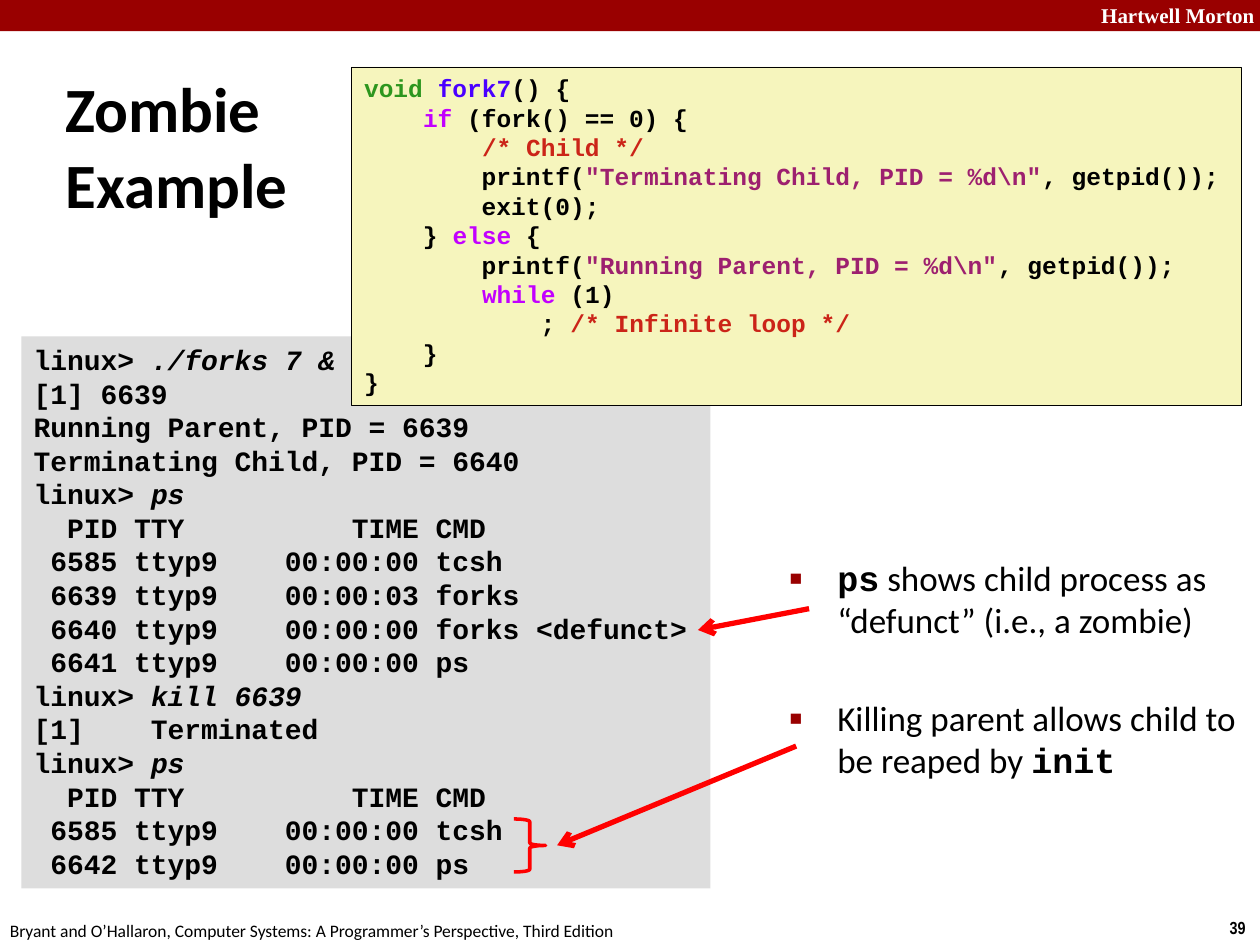
from dataclasses import dataclass
from typing import Optional

from lxml.etree import SubElement
from pptx import Presentation
from pptx.dml.color import RGBColor
from pptx.enum.shapes import MSO_CONNECTOR, MSO_SHAPE
from pptx.enum.text import MSO_ANCHOR, PP_ALIGN
from pptx.oxml import parse_xml
from pptx.oxml.ns import nsdecls, qn
from pptx.util import Cm, Pt

HUES = {
    "black": "000000", "white": "FFFFFF", "brand": "990000", "shell": "DDDDDD",
    "code": "F6F5BD", "arrow": "FF0000", "type": "2D961E", "name": "4A00FF",
    "key": "C200FF", "note": "CB2418", "quote": "9D206F",
}
MONO = "Courier New"


@dataclass
class Run:
    text: str
    hue: Optional[str] = None
    slant: bool = False
    face: Optional[str] = None


@dataclass
class Box:
    left: float
    top: float
    width: float
    height: float
    face: str
    size: float
    bold: bool = False
    hue: str = "black"
    fill: Optional[str] = None
    edge: Optional[str] = None
    wrap: bool = True
    anchor: MSO_ANCHOR = MSO_ANCHOR.TOP


@dataclass
class Arrow:
    x1: float
    y1: float
    x2: float
    y2: float


def tint(hue: str) -> RGBColor:
    return RGBColor.from_string(HUES[hue])


def draw_shape(shapes, kind, area, fill=None, edge=None, weight=0.25):
    shape = shapes.add_shape(kind, *map(Cm, area))
    shape.shadow.inherit = False
    if fill:
        shape.fill.solid()
        shape.fill.fore_color.rgb = tint(fill)
    else:
        shape.fill.background()
    if edge:
        shape.line.color.rgb = tint(edge)
        shape.line.width = Pt(weight)
    else:
        shape.line.fill.background()
    return shape


def add_part(para, item: Run) -> None:
    for i, piece in enumerate(item.text.split("\n")):
        if i:
            para.add_line_break()
        run = para.add_run()
        run.text = piece
        if item.hue:
            run.font.color.rgb = tint(item.hue)
        if item.slant:
            run.font.italic = True
        if item.face:
            run.font.name = item.face
            run.font.bold = True


def draw_text(shapes, box: Box, lines: list):
    area = (box.left, box.top, box.width, box.height)
    if box.fill:
        shape = draw_shape(shapes, MSO_SHAPE.RECTANGLE, area, box.fill, box.edge)
    else:
        shape = shapes.add_textbox(*map(Cm, area))
    frame = shape.text_frame
    frame.word_wrap = box.wrap
    frame.vertical_anchor = box.anchor
    for i, line in enumerate(lines):
        para = frame.paragraphs[0] if i == 0 else frame.add_paragraph()
        para.alignment = PP_ALIGN.LEFT
        para.font.name = box.face
        para.font.size = Pt(box.size)
        para.font.bold = box.bold
        para.font.color.rgb = tint(box.hue)
        for part in [line] if isinstance(line, str) else line:
            add_part(para, Run(part) if isinstance(part, str) else part)
    return frame


def add_bullet(para) -> None:
    props = para.font._element.getparent()
    props.set("marL", str(Cm(0.96)))
    props.set("indent", str(-Cm(0.96)))
    for xml in (
        f'<a:buClr {nsdecls("a")}><a:srgbClr val="{HUES["brand"]}"/></a:buClr>',
        f'<a:buSzPct {nsdecls("a")} val="60000"/>',
        f'<a:buFont {nsdecls("a")} typeface="Arial"/>',
        f'<a:buChar {nsdecls("a")} char="■"/>',
    ):
        props.find(qn("a:defRPr")).addprevious(parse_xml(xml))


def draw_arrow(shapes, arrow: Arrow) -> None:
    ends = map(Cm, (arrow.x1, arrow.y1, arrow.x2, arrow.y2))
    line = shapes.add_connector(MSO_CONNECTOR.STRAIGHT, *ends)
    line.line.color.rgb = tint("arrow")
    line.line.width = Pt(3)
    props = line.element.spPr
    SubElement(props.find(qn("a:ln")), qn("a:tailEnd"), type="arrow")
    SubElement(props, qn("a:effectLst"))


def prompt(order: str) -> list:
    return ["linux> ", Run(order, slant=True)]


HEAD = "  PID TTY          TIME CMD"
TCSH = " 6585 ttyp9    00:00:00 tcsh"
SHELL = [
    prompt("./forks 7 &"),
    "[1] 6639",
    "Running Parent, PID = 6639",
    "Terminating Child, PID = 6640",
    prompt("ps"),
    HEAD,
    TCSH,
    " 6639 ttyp9    00:00:03 forks",
    " 6640 ttyp9    00:00:00 forks <defunct>",
    " 6641 ttyp9    00:00:00 ps",
    prompt("kill 6639"),
    "[1]    Terminated",
    prompt("ps"),
    HEAD,
    TCSH,
    " 6642 ttyp9    00:00:00 ps",
]
CODE = [
    [Run("void ", "type"), Run("fork7", "name"), "() {"],
    ["    ", Run("if", "key"), " (fork() == 0) {"],
    ["        ", Run("/* Child */", "note")],
    ["        printf(", Run('"Terminating Child, PID = %d\\n"', "quote"), ", getpid());"],
    "        exit(0);",
    ["    } ", Run("else", "key"), " {"],
    ["        printf(", Run('"Running Parent, PID = %d\\n"', "quote"), ", getpid());"],
    ["        ", Run("while", "key"), " (1)"],
    ["            ; ", Run("/* Infinite loop */", "note")],
    "    }",
    "}",
]
POINTS = [
    [Run("ps", face=MONO), " shows child process as “defunct” (i.e., a zombie)"],
    ["Killing parent allows child to be reaped by ", Run("init", face=MONO)],
]
FOOT = "Bryant and O’Hallaron, Computer Systems: A Programmer’s Perspective, Third Edition"


def main() -> None:
    deck = Presentation()
    deck.slide_width, deck.slide_height = Cm(25.4), Cm(19.05)
    shapes = deck.slides.add_slide(deck.slide_layouts[6]).shapes

    draw_shape(shapes, MSO_SHAPE.RECTANGLE, (0, 0, 25.4, 0.63), "brand")
    draw_text(shapes, Box(21.95, -0.08, 3.63, 0.76, "Times New Roman", 12, True, "white"),
              ["Hartwell Morton"])
    draw_text(shapes, Box(24.54, 18.36, 0.86, 0.69, "Arial Narrow", 10, True, wrap=False), ["39"])
    draw_text(shapes, Box(-0.05, 18.42, 12.9, 0.69, "Calibri", 10, wrap=False), [FOOT])
    draw_text(shapes, Box(1.07, 1.4, 5.56, 3.05, "Calibri", 36, True, anchor=MSO_ANCHOR.MIDDLE),
              ["Zombie\nExample"])
    draw_text(shapes, Box(0.43, 6.78, 13.89, 11.13, MONO, 16, True, fill="shell"), SHELL)

    notes = draw_text(shapes, Box(15.67, 11.1, 9.73, 7.32, "Calibri", 20), POINTS)
    for para in notes.paragraphs:
        add_bullet(para)
    notes.paragraphs[1].space_before = Pt(32)

    draw_arrow(shapes, Arrow(16.31, 12.27, 14.07, 12.7))
    group = shapes.add_group_shape().shapes
    draw_arrow(group, Arrow(16.05, 15.04, 11.23, 17.04))
    draw_shape(group, MSO_SHAPE.RIGHT_BRACE, (10.36, 16.51, 0.64, 1.07), edge="arrow", weight=2)

    draw_text(shapes, Box(7.09, 1.35, 17.93, 6.83, MONO, 14, True, fill="code", edge="black",
                          wrap=False), CODE)
    deck.save("out.pptx")


if __name__ == "__main__":
    main()
